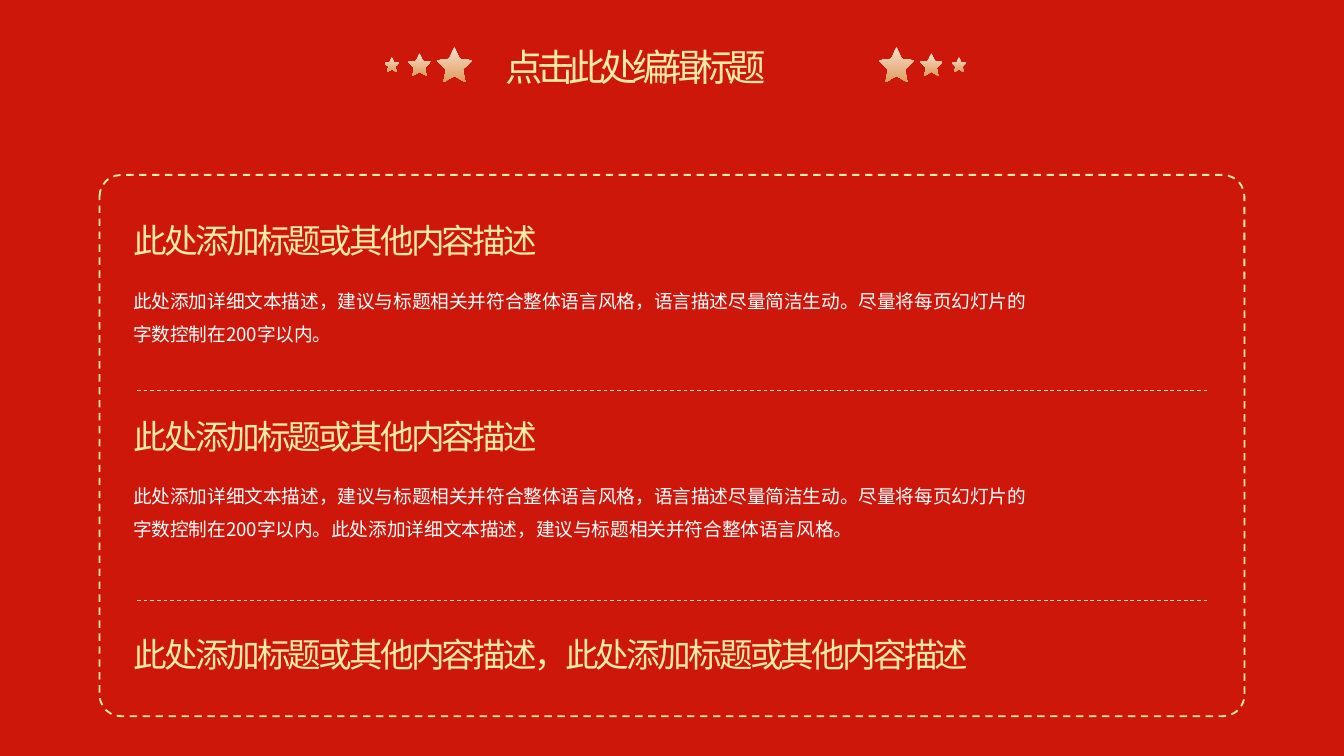
from lxml import etree
from pptx import Presentation
from pptx.dml.color import RGBColor
from pptx.enum import dml, shapes, text
from pptx.oxml import ns
from pptx.util import Pt

COLORS = {
    "background": "CD170A",
    "body": "FFFFFF",
    "frame": "FFEBA9",
    "divider": "F6E0CB",
    "star": ("F6E0CB", "E29B60"),
    "heading": ("FEEBA5", "E29B60"),
}
FONT = "Noto Sans CJK SC"
HEADING = "此处添加标题或其他内容描述"
STYLE = "建议与标题相关并符合整体语言风格"
DETAIL = f"此处添加详细文本描述，{STYLE}，语言描述尽量简洁生动。尽量将每页幻灯片的字数控制在200字以内。"


def paint(fill, color):
    """Fill with one colour, or with a top-to-bottom gradient for a pair."""
    if isinstance(color, str):
        fill.solid()
        fill.fore_color.rgb = RGBColor.from_string(color)
        return
    fill.gradient()
    fill.gradient_angle = 270
    for stop, position, value in zip(fill.gradient_stops, (0, 1), color):
        stop.position = position
        stop.color.rgb = RGBColor.from_string(value)


def write(shape, content, size, color, tracking=0, **formats):
    """Put one formatted paragraph into a shape; tracking is in points."""
    frame = shape.text_frame
    frame.word_wrap = True
    frame.auto_size = text.MSO_AUTO_SIZE.SHAPE_TO_FIT_TEXT
    frame.vertical_anchor = text.MSO_ANCHOR.TOP
    paragraph = frame.paragraphs[0]
    for name, value in formats.items():
        setattr(paragraph, name, value)
    run = paragraph.add_run()
    run.text = content
    run.font.size = Pt(size)
    run.font.name = FONT
    paint(run.font.fill, color)
    properties = run.font._element
    properties.set("lang", "zh-CN")
    if tracking:
        properties.set("spc", str(int(tracking * 100)))
    properties.find(ns.qn("a:latin")).addnext(
        etree.Element(ns.qn("a:ea"), typeface=FONT))


presentation = Presentation()
presentation.slide_width = Pt(720)
presentation.slide_height = Pt(405)
slide = presentation.slides.add_slide(presentation.slide_layouts[5])
paint(slide.background.fill, COLORS["background"])

# Title
title = slide.shapes.title
title_box = {"left": 263.5, "top": 20.2, "width": 193, "height": 31.5}
for name, value in title_box.items():
    setattr(title, name, Pt(value))
write(title, "点击此处编辑标题", 20, COLORS["heading"], tracking=-3,
      alignment=text.PP_ALIGN.JUSTIFY)

# Stars, mirrored on both sides of the title
MIRROR_SUM = 723.7
STAR_MIDDLE = 34.6
for left, size in ((234, 18.9), (218.7, 12.1), (206, 7.9)):
    for x in (left, MIRROR_SUM - left - size):
        star = slide.shapes.add_shape(
            shapes.MSO_SHAPE.STAR_5_POINT,
            Pt(x), Pt(STAR_MIDDLE - size / 2), Pt(size), Pt(size))
        star.adjustments[0] = 0.24
        star.shadow.inherit = False
        star.line.fill.background()
        paint(star.fill, COLORS["star"])

# Headings and details
for top, content in ((114.5, HEADING), (219, HEADING),
                     (336, f"{HEADING}，{HEADING}")):
    box = slide.shapes.add_textbox(Pt(64.6), Pt(top), Pt(600), Pt(29))
    write(box, content, 18, COLORS["heading"], tracking=-1.5)

for top, content in ((145.5, DETAIL),
                     (250, f"{DETAIL}此处添加详细文本描述，{STYLE}。")):
    box = slide.shapes.add_textbox(Pt(64.2), Pt(top), Pt(497.5), Pt(43))
    write(box, content, 10, COLORS["body"], line_spacing=1.5)

# Dividers
for y in (209.2, 321.7):
    divider = slide.shapes.add_connector(
        shapes.MSO_CONNECTOR.STRAIGHT, Pt(73.4), Pt(y), Pt(646.4), Pt(y))
    divider.line.width = Pt(0.5)
    divider.line.dash_style = dml.MSO_LINE.DASH
    paint(divider.line.fill, COLORS["divider"])
    etree.SubElement(divider._element.spPr, ns.qn("a:effectLst"))

# Dashed frame
border = slide.shapes.add_shape(
    shapes.MSO_SHAPE.ROUNDED_RECTANGLE, Pt(53.3), Pt(93.7), Pt(613.4), Pt(290))
border.adjustments[0] = 0.04
border.shadow.inherit = False
border.fill.background()
border.line.width = Pt(1)
border.line.dash_style = dml.MSO_LINE.DASH
paint(border.line.fill, COLORS["frame"])

presentation.save("out.pptx")
